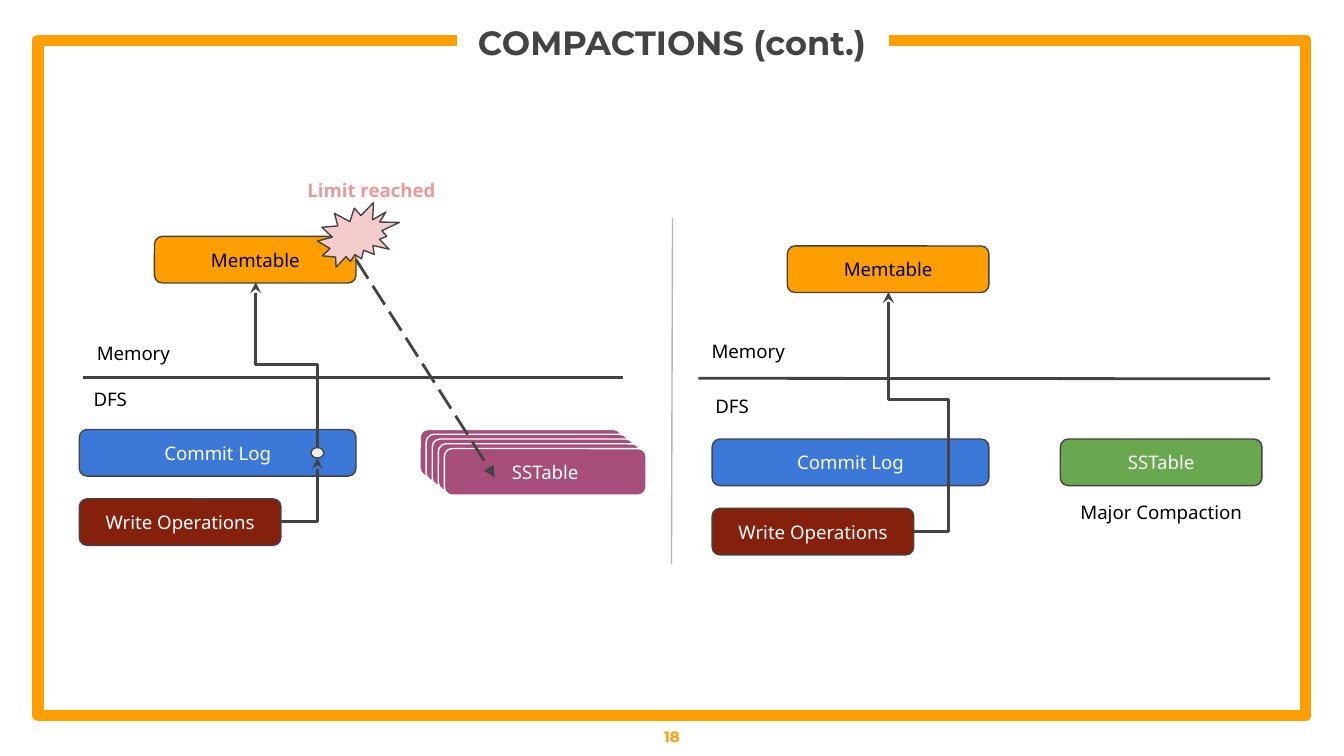
from lxml.etree import SubElement
from pptx import Presentation
from pptx.dml.color import RGBColor
from pptx.enum.dml import MSO_LINE
from pptx.enum.shapes import MSO_CONNECTOR, MSO_SHAPE
from pptx.enum.text import MSO_ANCHOR, PP_ALIGN
from pptx.oxml.ns import qn
from pptx.util import Cm, Pt

INK = {
    "gold": "FF9E00", "dark": "434343", "blue": "3C78D8", "red": "85200C",
    "plum": "A64D79", "green": "6AA84F", "pink": "F4CCCC", "rose": "EA9999",
    "pale": "EFEFEF", "gray": "B7B7B7", "white": "FFFFFF", "black": "000000",
}
WIDE, SLIM, HIGH = 5.23, 3.81, 0.88


def tint(name):
    return RGBColor.from_string(INK[name])


def write(frame, text, size=10, font="Noto Sans", ink="black", bold=False,
          align=PP_ALIGN.CENTER, anchor=MSO_ANCHOR.MIDDLE, pad=0.25):
    frame.word_wrap = True
    frame.vertical_anchor = anchor
    frame.margin_left = frame.margin_right = Cm(pad)
    frame.margin_top = frame.margin_bottom = Cm(pad)
    par = frame.paragraphs[0]
    par.alignment = align
    run = par.add_run()
    run.text = text
    run.font.size = Pt(size)
    run.font.name = font
    run.font.bold = bold
    run.font.color.rgb = tint(ink)


class Deck:
    def __init__(self):
        self.file = Presentation()
        self.file.slide_width = Cm(25.4)
        self.file.slide_height = Cm(14.29)
        self.slide = self.file.slides.add_slide(self.file.slide_layouts[6])
        self.items = self.slide.shapes

    def frame(self, points):
        spots = [(Cm(x), Cm(y)) for x, y in points]
        path = self.items.build_freeform(*spots[0], scale=1.0)
        path.add_line_segments(spots[1:], close=False)
        shape = path.convert_to_shape()
        shape.shadow.inherit = False
        shape.fill.background()
        shape.line.color.rgb = tint("gold")
        shape.line.width = Pt(6)

    def label(self, text, x, y, wide, high=0.94, **style):
        box = self.items.add_textbox(Cm(x), Cm(y), Cm(wide), Cm(high))
        write(box.text_frame, text, **style)

    def box(self, x, y, wide, fill, text="", high=HIGH, edge="dark",
            ink="white", kind=MSO_SHAPE.FLOWCHART_ALTERNATE_PROCESS):
        shape = self.items.add_shape(kind, Cm(x), Cm(y), Cm(wide), Cm(high))
        shape.shadow.inherit = False
        shape.fill.solid()
        shape.fill.fore_color.rgb = tint(fill)
        shape.line.color.rgb = tint(edge)
        shape.line.width = Pt(0.75)
        if text:
            write(shape.text_frame, text, ink=ink)
        return shape

    def line(self, x, y, end_x, end_y, ink="dark", width=1.5, tip=None,
             kind=MSO_CONNECTOR.STRAIGHT):
        link = self.items.add_connector(kind, Cm(x), Cm(y), Cm(end_x), Cm(end_y))
        link.line.color.rgb = tint(ink)
        link.line.width = Pt(width)
        if tip:
            SubElement(link.line._get_or_add_ln(), qn("a:tailEnd"), type=tip)
        SubElement(link._element.spPr, qn("a:effectLst"))
        return link

    def bend(self, x, y, wide, high, preset, turn, flip=False, bends=()):
        link = self.line(x, y, x + wide, y + high, tip="stealth",
                         kind=MSO_CONNECTOR.ELBOW)
        props = link._element.spPr
        form = props.find(qn("a:xfrm"))
        form.set("rot", str(turn * 60000))
        if flip:
            form.set("flipH", "1")
        shape = props.find(qn("a:prstGeom"))
        shape.set("prst", preset)
        guides = shape.find(qn("a:avLst"))
        for num, bend in enumerate(bends, 1):
            SubElement(guides, qn("a:gd"), name=f"adj{num}",
                       fmla=f"val {round(bend * 100000)}")

    def panel(self, x, y):
        self.box(x, y, WIDE, "blue", "Commit Log")
        self.box(x, y + 1.31, SLIM, "red", "Write Operations")
        return self.box(x + 1.42, y - 3.65, SLIM, "gold", "Memtable", ink="black")


def main():
    deck = Deck()
    deck.frame([(8.64, 0.76), (0.72, 0.76), (0.72, 13.53),
                (24.68, 13.53), (24.68, 0.76), (16.8, 0.76)])
    deck.label("COMPACTIONS (cont.)", 9.01, 0.29, 7.38, 1, size=18,
               font="Montserrat", ink="dark", bold=True, pad=0)
    deck.label("18", 0, 13.54, 25.4, 0.76, size=8, font="Montserrat",
               ink="gold", bold=True)

    table = deck.panel(1.5, 8.12)
    deck.bend(5.32, 8.66, 0.68, 1.2, "bentConnector2", 180, flip=True)
    deck.box(5.88, 8.46, 0.24, "pale", high=0.2,
             kind=MSO_SHAPE.FLOWCHART_CONNECTOR)
    deck.bend(3.86, 6.31, 3.12, 1.17, "bentConnector3", 90, flip=True, bends=[0.5])
    for num in range(5):
        deck.box(7.94 + num * 0.46 / 4, 8.12 + num * 0.36 / 4, SLIM, "plum",
                 "SSTable" if num == 4 else "", edge="white",
                 kind=MSO_SHAPE.ROUNDED_RECTANGLE)
    deck.box(6, 3.83, 1.55, "pink", high=1.22, kind=MSO_SHAPE.EXPLOSION2)

    deck.panel(13.46, 8.3)
    deck.bend(16.79, 5.52, 0.48, 4.52, "bentConnector4", 180, bends=[-1.36, 0.55])
    deck.box(20.04, 8.3, SLIM, "green", "SSTable",
             kind=MSO_SHAPE.ROUNDED_RECTANGLE)

    deck.line(12.71, 4.12, 12.69, 10.67, ink="gray", width=0.75)
    deck.line(1.57, 7.14, 11.78, 7.14)
    deck.line(13.2, 7.15, 24, 7.16)

    left = {"align": PP_ALIGN.LEFT, "anchor": MSO_ANCHOR.TOP}
    deck.label("Memory", 1.58, 6.24, 2.03, **left)
    deck.label("Memory", 13.2, 6.21, 2.03, **left)
    deck.label("DFS", 1.5, 7.12, 1.17, anchor=MSO_ANCHOR.TOP)
    deck.label("DFS", 13.27, 7.25, 1.42, **left)
    deck.label("Limit reached", 5.23, 3.17, 3.58, ink="rose", bold=True,
               anchor=MSO_ANCHOR.TOP)
    deck.label("Major Compaction", 20.04, 9.26, SLIM, anchor=MSO_ANCHOR.TOP)

    flush = deck.line(6.73, 4.9, 9.35, 9.02, tip="triangle")
    flush.line.dash_style = MSO_LINE.LONG_DASH
    flush.begin_connect(table, 3)

    deck.file.save("out.pptx")


if __name__ == "__main__":
    main()
